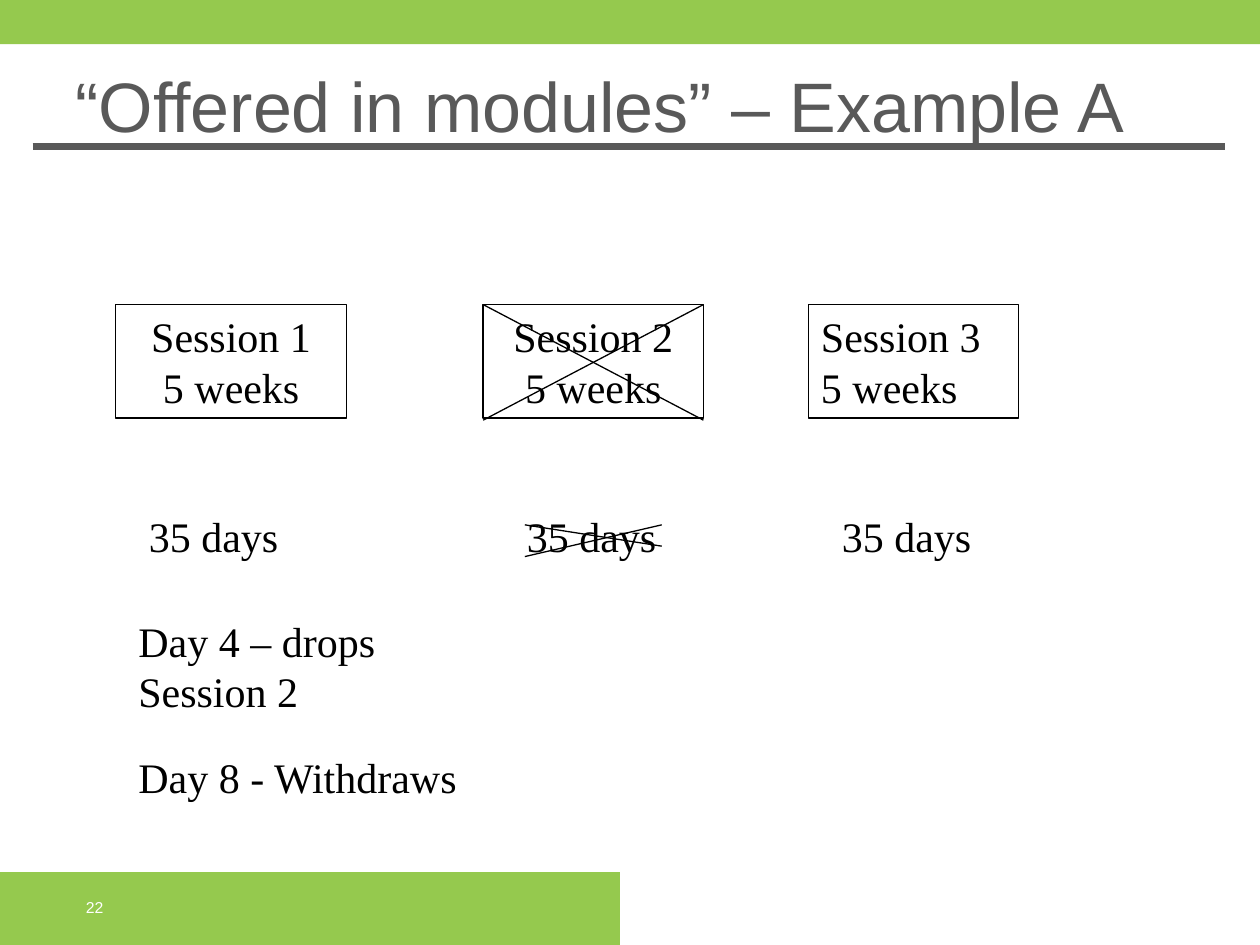
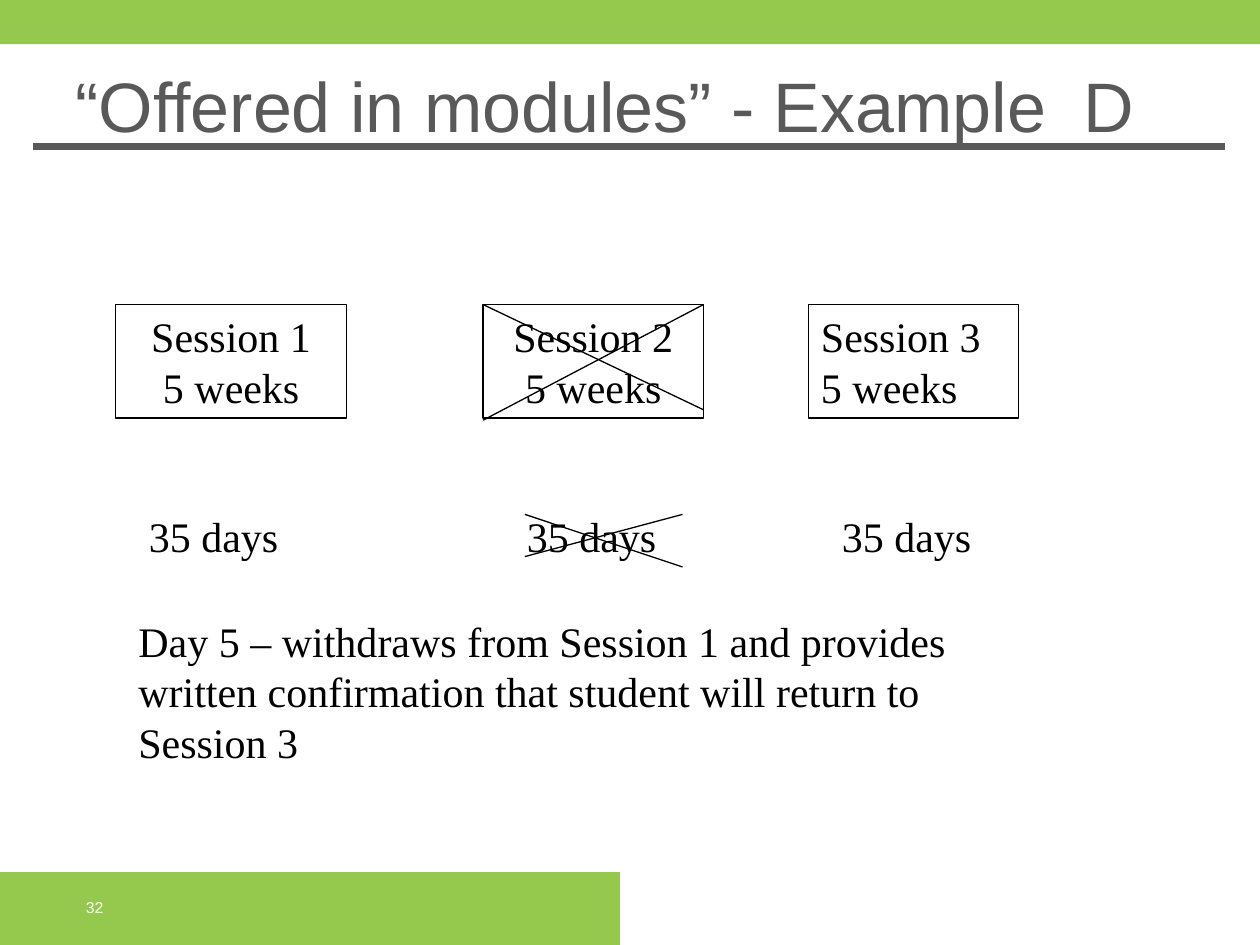
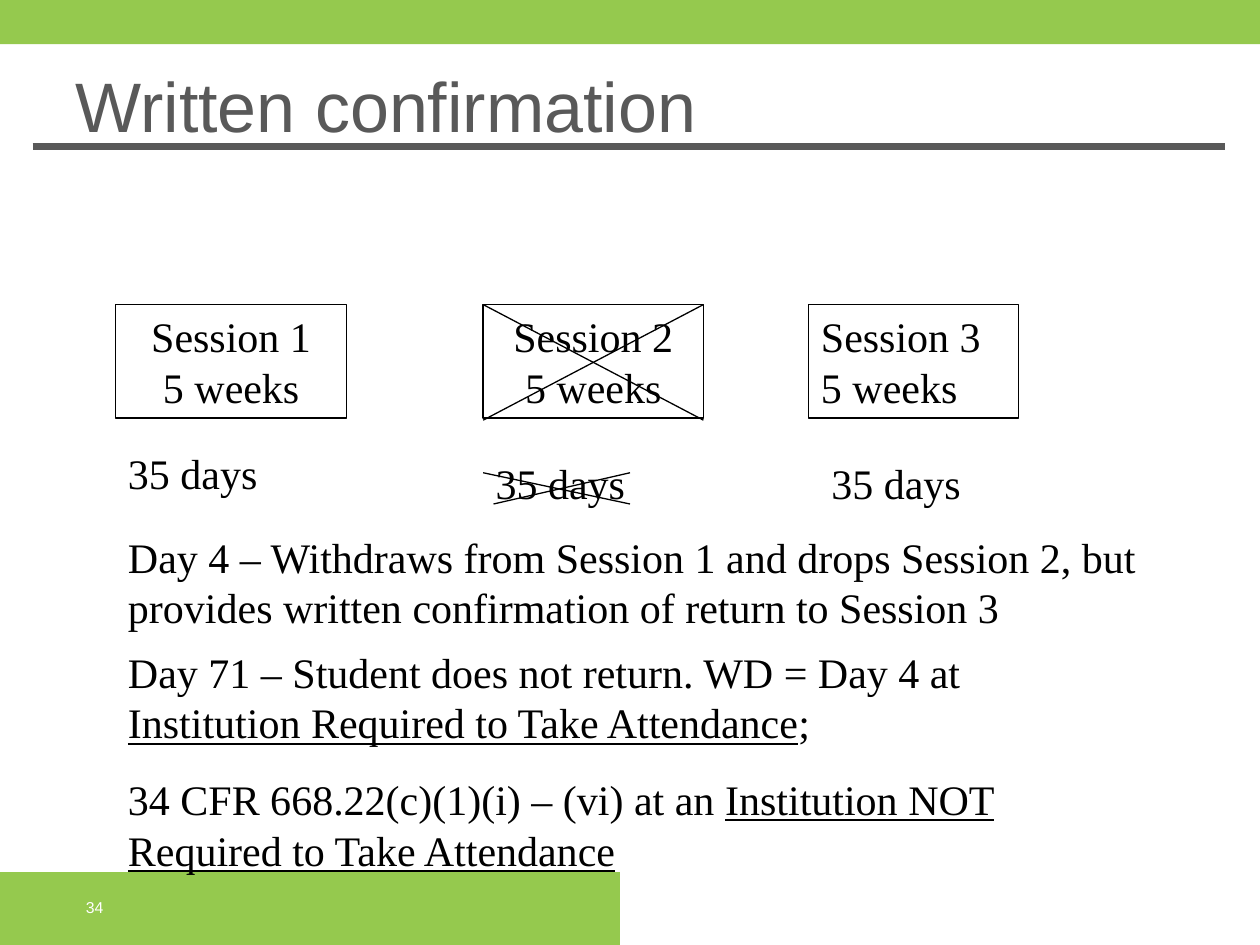
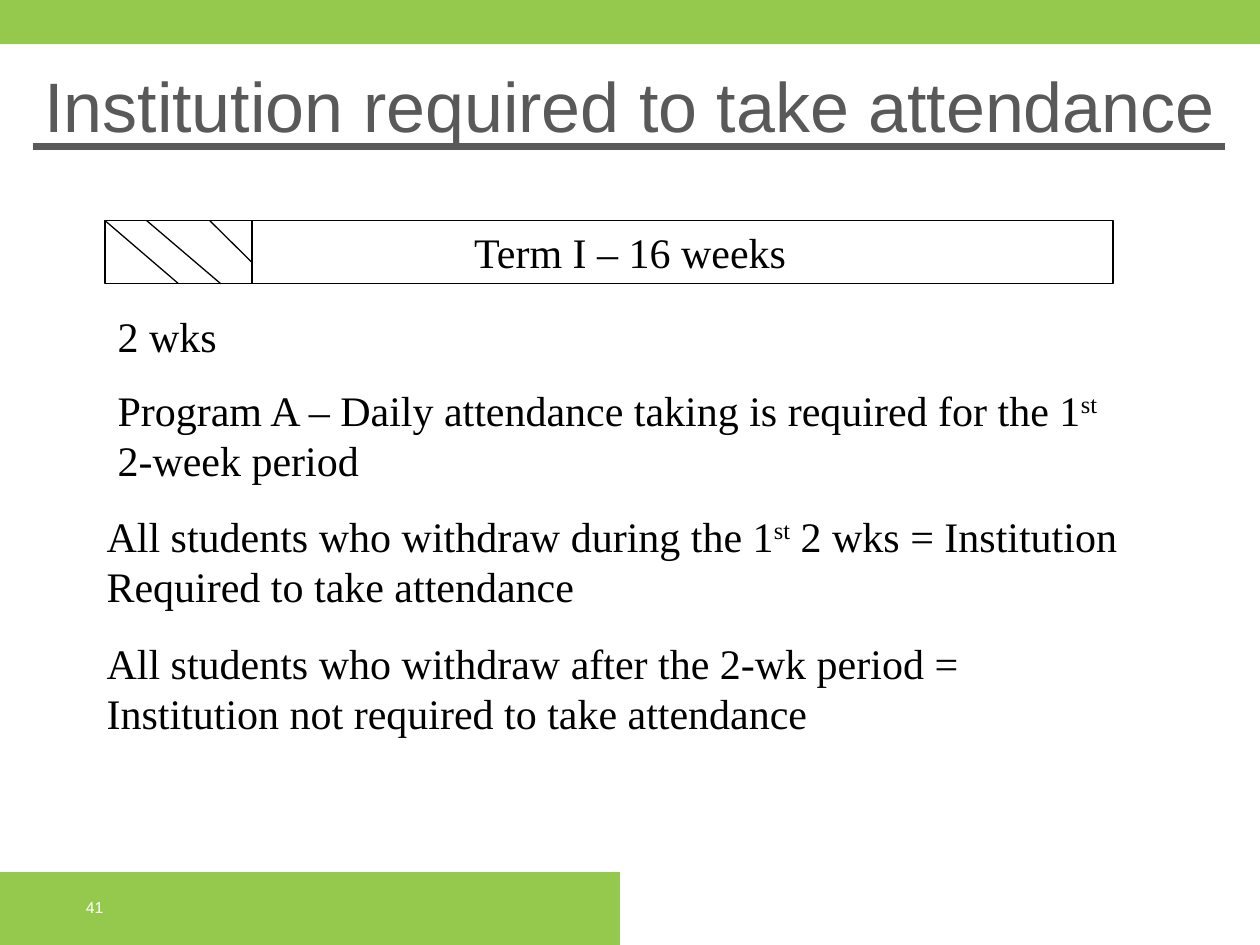
from dataclasses import dataclass

from lxml import etree
from pptx import Presentation
from pptx.dml.color import RGBColor
from pptx.enum import shapes, text
from pptx.oxml.ns import qn
from pptx.util import Cm, Pt


@dataclass(frozen=True)
class Theme:
    green: RGBColor = RGBColor(0x95, 0xC9, 0x4E)
    grey: RGBColor = RGBColor(0x59, 0x59, 0x59)
    black: RGBColor = RGBColor(0, 0, 0)
    white: RGBColor = RGBColor(0xFF, 0xFF, 0xFF)
    title_font: str = "Arial"
    body_font: str = "Times New Roman"
    title_size: int = 40
    body_size: int = 24
    number_size: int = 9
    leading: float = 1.2
    para_gap: int = 15
    rule_width: float = 4
    thin_line: float = 0.75


T = Theme()
LEFT, CENTER = text.PP_ALIGN.LEFT, text.PP_ALIGN.CENTER

# All places are in centimetres.
# Session boxes: name, left, width, alignment
SESSIONS = [
    ("Session 1", 2.33, 4.66, CENTER),
    ("Session 2", 9.74, 4.44, CENTER),
    ("Session 3", 16.3, 4.23, LEFT),
]
SESSION_TOP, SESSION_BOTTOM = 6.14, 8.47
SESSION_LENGTH = "5 weeks"
DAYS = "35 days"
DAYS_WIDTHS = (5.08, 5.5, 5.5)
MODULE_DAYS = [(2.75, 10.16), (10.37, 10.16), (16.72, 10.16)]

# Notes: left, top, width, line count, paragraphs. A paragraph is a string
# or a list of (text, style) runs.
# Strikes: pairs of lines, each x1, y1, x2, y2
MODULE_SLIDES = [
    {
        "title": "“Offered in modules” – Example A",
        "title_height": 3.7,
        "number": "22",
        "days": MODULE_DAYS,
        "notes": [
            (2.54, 12.28, 5.28, 2, ["Day 4 – drops Session 2"]),
            (2.54, 15.03, 7.62, 1, ["Day 8 - Withdraws"]),
        ],
        "session_strike_end": 8.47,
        "days_strikes": [(10.58, 10.58, 13.34, 11.01), (10.58, 11.22, 13.34, 10.58)],
    },
    {
        "title": "“Offered in modules” - Example\tD",
        "title_height": 4.14,
        "number": "32",
        "days": MODULE_DAYS,
        "notes": [
            (2.54, 12.28, 16.93, 3, [
                "Day 5 – withdraws from Session 1 and provides written "
                "confirmation that student will return to Session 3"]),
        ],
        "session_strike_end": 8.26,
        "days_strikes": [(10.58, 10.37, 13.76, 11.43), (10.58, 11.22, 13.76, 10.37)],
    },
    {
        "title": "Written confirmation",
        "title_height": 2.44,
        "number": "34",
        "days": [(2.33, 8.89), (9.74, 9.1), (16.51, 9.1)],
        "notes": [
            (2.33, 10.58, 21.59, 2, [
                "Day 4 – Withdraws from Session 1 and drops Session 2, but "
                "provides written confirmation of return to Session 3"]),
            (2.33, 12.91, 20.53, 4, [
                [("Day 71 – Student does not return. WD = Day 4 at ", ""),
                 ("Institution Required to Take Attendance", "underline"),
                 (";", "")],
                [("34 CFR 668.22(c)(1)(i) – (vi) at an ", ""),
                 ("Institution NOT Required to Take Attendance", "underline")],
            ]),
        ],
        "session_strike_end": 8.47,
        "days_strikes": [(9.74, 9.53, 12.7, 10.16), (9.95, 10.16, 12.7, 9.53)],
    },
]

ATTENDANCE_TITLE = "Institution required to take attendance"
ATTENDANCE_NUMBER = "41"
TERM_NAME = "Term I – 16 weeks"
TERM_BAR = (2.12, 4.45, 20.32, 1.27)
TERM_TEXT_INSET = 1.1
TERM_HATCHING = [
    (5.08, 4.45, 5.08, 5.72),
    (4.23, 4.45, 5.08, 5.29),
    (4.45, 5.72, 2.96, 4.45),
    (2.12, 4.45, 3.6, 5.72),
]
ATTENDANCE_NOTES = [
    (2.12, 7.62, 20.53, 2, [
        [("Program A – Daily attendance taking is required for the 1", ""),
         ("st", "superscript"), (" 2-week period", "")]]),
    (1.9, 10.16, 20.96, 4, [
        [("All students who withdraw during the 1", ""), ("st", "superscript"),
         (" 2 wks = Institution Required to take attendance", "")],
        "All students who withdraw after the 2-wk period = "
        "Institution not required to take attendance",
    ]),
    (2.12, 6.14, 2.96, 1, ["2 wks"]),
]


def set_font(p, name, size, color):
    p.font.name, p.font.size = name, Pt(size)
    p.font.color.rgb = color


def write_body(tf, paragraphs, align=LEFT, gap=T.para_gap):
    tf.word_wrap = True
    tf.auto_size = text.MSO_AUTO_SIZE.SHAPE_TO_FIT_TEXT
    tf.vertical_anchor = text.MSO_ANCHOR.TOP
    for i, runs in enumerate(paragraphs):
        p = tf.add_paragraph() if i else tf.paragraphs[0]
        p.alignment = align
        p.line_spacing = Pt(T.body_size * T.leading)
        if i:
            p.space_before = Pt(gap)
        set_font(p, T.body_font, T.body_size, T.black)
        for words, style in [(runs, "")] if isinstance(runs, str) else runs:
            r = p.add_run()
            r.text = words
            if style == "underline":
                r.font.underline = True
            elif style == "superscript":
                r._r.get_or_add_rPr().set("baseline", "30000")


def add_note(s, left, top, width, lines, paragraphs):
    height = 0.25 + 1.02 * lines + 0.53 * (len(paragraphs) - 1)
    box = s.shapes.add_textbox(Cm(left), Cm(top), Cm(width), Cm(height))
    write_body(box.text_frame, paragraphs)


def add_rect(s, left, top, width, height, fill=None):
    """Add a filled rectangle without outline, or an outlined empty one."""
    sp = s.shapes.add_shape(shapes.MSO_SHAPE.RECTANGLE,
                            Cm(left), Cm(top), Cm(width), Cm(height))
    sp.shadow.inherit = False
    if fill is None:
        sp.fill.background()
        sp.line.color.rgb = T.black
        sp.line.width = Pt(T.thin_line)
    else:
        sp.fill.solid()
        sp.fill.fore_color.rgb = fill
        sp.line.fill.background()
    return sp


def add_line(s, ends, color=T.black, width=T.thin_line):
    line = s.shapes.add_connector(shapes.MSO_CONNECTOR.STRAIGHT,
                                  *(Cm(v) for v in ends))
    line.line.color.rgb = color
    line.line.width = Pt(width)
    etree.SubElement(line._element.spPr, qn("a:effectLst"))
    return line


def decorate_layout(s):
    """Draw the bands and the title rule, then move them to the slide's layout."""
    parts = [
        add_rect(s, 0, 17.58, 12.5, 1.47, T.green),
        add_rect(s, 0, 0, 25.4, 0.89, T.green),
        add_line(s, (0.66, 2.95, 24.69, 2.95), T.grey, T.rule_width),
    ]
    tree = s.slide_layout.shapes.element
    for i, part in enumerate(parts):
        tree.insert(2 + i, part._element)


def add_slide(prs, title, number, left=1.27, width=23.75, height=1.8):
    s = prs.slides.add_slide(prs.slide_layouts[5])
    sp = s.shapes.title
    sp.left, sp.top, sp.width, sp.height = Cm(left), Cm(1.14), Cm(width), Cm(height)
    tf = sp.text_frame
    tf.text = title
    tf.word_wrap = True
    tf.auto_size = text.MSO_AUTO_SIZE.NONE
    tf.vertical_anchor = text.MSO_ANCHOR.TOP
    p = tf.paragraphs[0]
    p.alignment = LEFT
    p.line_spacing = Pt(T.title_size * T.leading)
    set_font(p, T.title_font, T.title_size, T.grey)

    tf = s.shapes.add_textbox(Cm(1.48), Cm(17.78), Cm(5.93), Cm(1.02)).text_frame
    tf.text = number
    tf.word_wrap = True
    tf.vertical_anchor = text.MSO_ANCHOR.MIDDLE
    set_font(tf.paragraphs[0], T.title_font, T.number_size, T.white)
    return s


def add_module_slide(prs, item):
    s = add_slide(prs, item["title"], item["number"], height=item["title_height"])
    for name, left, width, align in SESSIONS:
        box = add_rect(s, left, SESSION_TOP, width, 2.29)
        write_body(box.text_frame, [name, SESSION_LENGTH], align, gap=0)
    for (left, top), width in zip(item["days"], DAYS_WIDTHS):
        add_note(s, left, top, width, 1, [DAYS])
    for note in item["notes"]:
        add_note(s, *note)
    _, left, width, _ = SESSIONS[1]
    right = left + width
    session_strikes = [
        (left, SESSION_TOP, right, item["session_strike_end"]),
        (left, SESSION_BOTTOM, right, SESSION_TOP),
    ]
    for ends in session_strikes + item["days_strikes"]:
        add_line(s, ends)
    return s


def add_attendance_slide(prs):
    s = add_slide(prs, ATTENDANCE_TITLE, ATTENDANCE_NUMBER, left=0.64, width=24.41)
    tf = add_rect(s, *TERM_BAR).text_frame
    write_body(tf, [TERM_NAME], CENTER)
    tf.margin_left = Cm(TERM_TEXT_INSET)
    for ends in TERM_HATCHING:
        add_line(s, ends)
    for note in ATTENDANCE_NOTES:
        add_note(s, *note)


def main():
    prs = Presentation()
    prs.slide_width, prs.slide_height = Cm(25.4), Cm(19.05)
    for item in MODULE_SLIDES:
        add_module_slide(prs, item)
    add_attendance_slide(prs)
    decorate_layout(prs.slides[0])
    prs.save("out.pptx")


if __name__ == "__main__":
    main()
